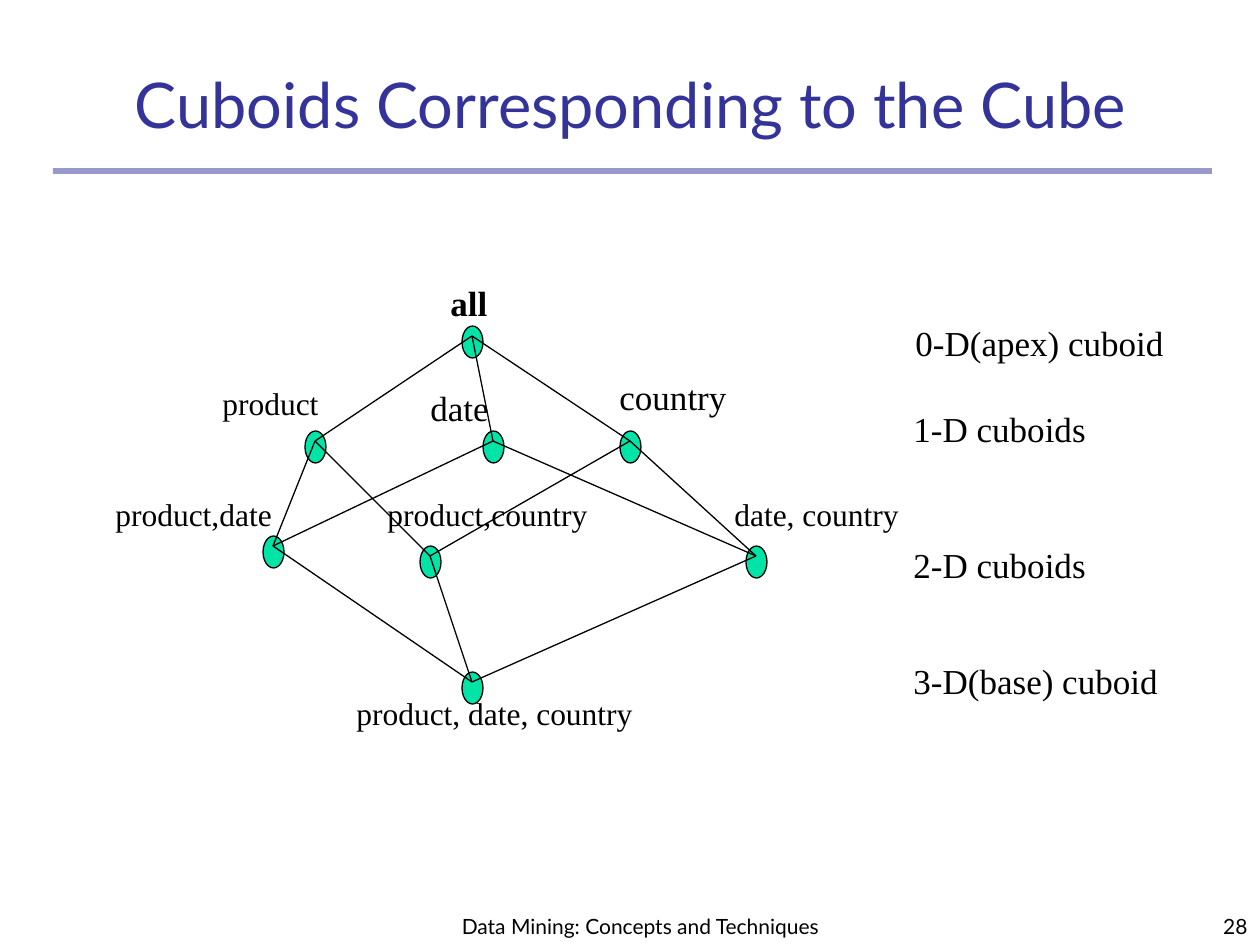
from itertools import combinations

from lxml import etree
from pptx import Presentation
from pptx import util as u
from pptx.dml.color import RGBColor
from pptx.enum import shapes, text
from pptx.oxml.ns import qn

PX = 914400 / 126
COLORS = {"title": "333399", "node": "00E4A8", "ink": "000000"}
SANS, SERIF = "Lato", "Times New Roman"
LEFT, MID, RIGHT = text.PP_ALIGN.LEFT, text.PP_ALIGN.CENTER, text.PP_ALIGN.RIGHT
TOP, BOTTOM = text.MSO_ANCHOR.TOP, text.MSO_ANCHOR.BOTTOM
FIXED, GROW = text.MSO_AUTO_SIZE.NONE, text.MSO_AUTO_SIZE.SHAPE_TO_FIT_TEXT

# Dimensions of each cuboid (p product, d date, c country): the point its edges meet
NODES = {
    "": (472, 336),
    "p": (315, 441), "d": (493, 441), "c": (630, 441),
    "pd": (273, 546), "dc": (756, 556), "pc": (430, 556),
    "pdc": (472, 682),
}
# Wording, left, top, width, size, bold
LABELS = [
    ("all", 438, 275, 63, 20, True),
    ("product", 210, 378, 122, 18, False),
    ("date", 418, 380, 84, 20, False),
    ("country", 607, 369, 133, 20, False),
    ("product,date", 103, 489, 182, 18, False),
    ("product,country", 375, 489, 227, 18, False),
    ("date, country", 722, 489, 190, 18, False),
    ("product, date, country", 344, 688, 302, 18, False),
    ("0-D(apex) cuboid", 903, 315, 274, 20, False),
    ("1-D cuboids", 901, 401, 198, 20, False),
    ("2-D cuboids", 901, 537, 198, 20, False),
    ("3-D(base) cuboid", 901, 653, 270, 20, False),
]


def px(*vals):
    return [u.Emu(round(v * PX)) for v in vals]


def rgb(name):
    return RGBColor.from_string(COLORS[name])


def put(obj, vals):
    for key, val in vals.items():
        setattr(obj, key, val)


def add_text(slide, words, box, size, face=SERIF, color="ink", bold=False,
             align=LEFT, anchor=TOP, wrap=False):
    """Add one line of text; a box that does not wrap grows to fit it."""
    frame = slide.shapes.add_textbox(*px(*box)).text_frame
    put(frame, {"word_wrap": wrap, "vertical_anchor": anchor,
                "auto_size": FIXED if wrap else GROW})
    para = frame.paragraphs[0]
    para.alignment = align
    run = para.add_run()
    run.text = words
    put(run.font, {"size": u.Pt(size), "name": face, "bold": bold})
    run.font.color.rgb = rgb(color)


def add_rule(slide):
    """Draw the half-transparent bar below the title."""
    bar = slide.shapes.add_shape(shapes.MSO_SHAPE.RECTANGLE, *px(53, 168, 1159, 6))
    bar.shadow.inherit = False
    bar.fill.solid()
    bar.fill.fore_color.rgb = rgb("title")
    bar.line.fill.background()
    tint = bar.fill._xPr.find(".//" + qn("a:srgbClr"))
    etree.SubElement(tint, qn("a:alpha"), val="50000")


def add_node(slide, x, y):
    dot = slide.shapes.add_shape(
        shapes.MSO_SHAPE.FLOWCHART_CONNECTOR, *px(x - 10, y - 10, 21, 32))
    dot.shadow.inherit = False
    dot.fill.solid()
    dot.fill.fore_color.rgb = rgb("node")
    ink_line(dot.line)


def add_edge(slide, start, end):
    edge = slide.shapes.add_connector(
        shapes.MSO_CONNECTOR.STRAIGHT, *px(*start, *end))
    ink_line(edge.line)
    etree.SubElement(edge._element.spPr, qn("a:effectLst"))


def ink_line(line):
    line.color.rgb = rgb("ink")
    line.width = u.Pt(0.75)


def add_lattice(slide):
    """Draw the cuboids and join each to those with one more dimension."""
    for spot in NODES.values():
        add_node(slide, *spot)
    for low, high in combinations(NODES, 2):
        if len(high) == len(low) + 1 and set(low) < set(high):
            add_edge(slide, NODES[low], NODES[high])


def main():
    deck = Presentation()
    deck.slide_width, deck.slide_height = px(1260, 945)
    slide = deck.slides.add_slide(deck.slide_layouts[6])
    add_rule(slide)
    fixed = {"face": SANS, "anchor": BOTTOM, "wrap": True}
    add_text(slide, "Data Mining: Concepts and Techniques",
             (441, 872, 399, 73), 12, align=MID, **fixed)
    add_text(slide, "28", (998, 882, 262, 63), 12, align=RIGHT, **fixed)
    add_text(slide, "Cuboids Corresponding to the Cube",
             (53, 53, 1155, 94), 36, color="title", align=MID, **fixed)
    add_lattice(slide)
    for words, x, y, wide, size, bold in LABELS:
        tall = 55 if size == 20 else 50
        add_text(slide, words, (x, y, wide, tall), size, bold=bold)
    deck.save("out.pptx")


if __name__ == "__main__":
    main()
